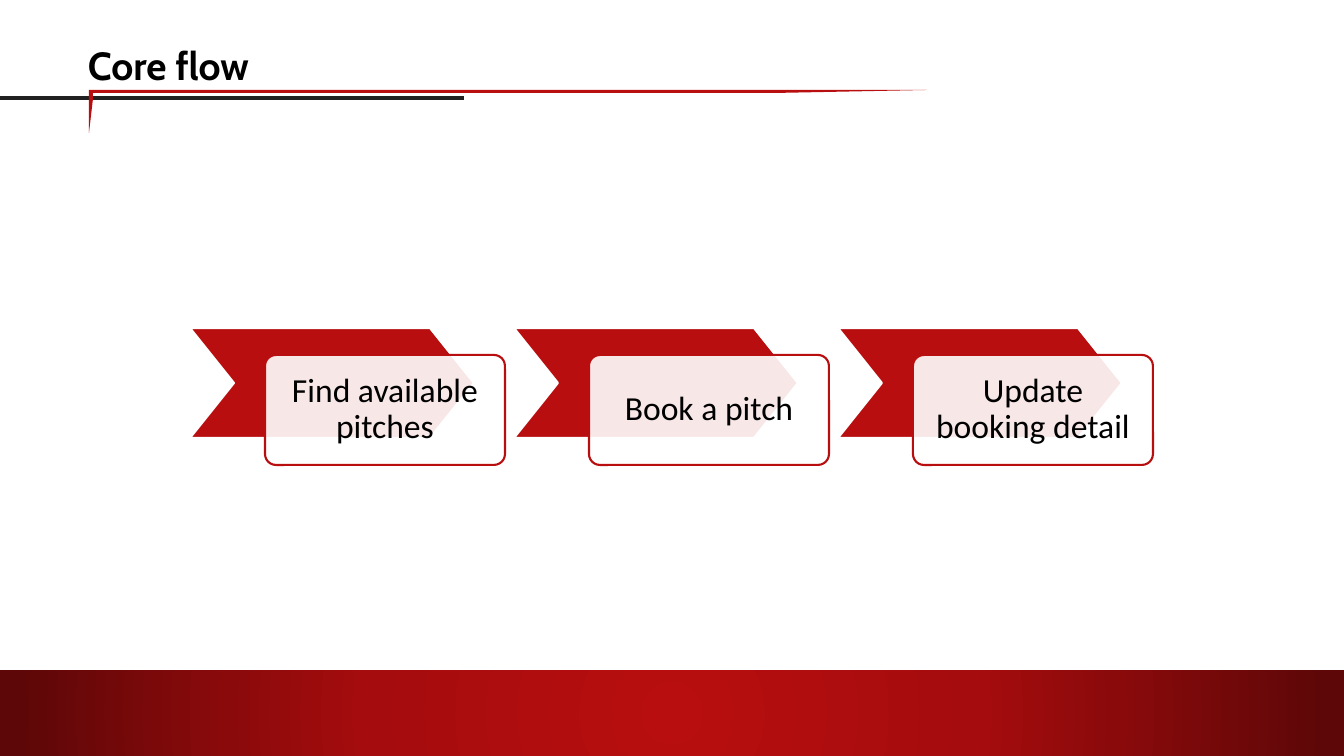
from lxml import etree
from pptx import Presentation
from pptx.dml.color import RGBColor as Rgb
from pptx.enum.shapes import MSO_CONNECTOR as Conn, MSO_SHAPE as Form
from pptx.enum.text import MSO_ANCHOR as Anchor, PP_ALIGN as Align
from pptx.oxml import parse_xml
from pptx.oxml.ns import nsdecls, qn
from pptx.util import Pt

SCALE = 914400 / 100.8
COLORS = {
    "red": "B80E0F", "wine": "A40C0D", "dark": "8A0A0B", "deep": "5E0708",
    "white": "FFFFFF", "black": "000000", "gray": "212121",
}


def emu(*sizes):
    return [round(size * SCALE) for size in sizes]


def color(name):
    return Rgb.from_string(COLORS[name])


class Painter:
    def __init__(self, slide, font):
        self.shapes = slide.shapes
        self.font = font

    def shape(self, form, box, fill, line=None, adj=None):
        item = self.shapes.add_shape(form, *emu(*box))
        if adj is not None:
            item.adjustments[0] = adj
        return self.paint(item, fill, line)

    def paint(self, item, fill, line=None):
        item.shadow.inherit = False
        item.fill.solid()
        item.fill.fore_color.rgb = color(fill)
        if line:
            item.line.color.rgb = color(line)
            item.line.width = Pt(1.5)
        else:
            item.line.fill.background()
        return item

    def fade(self, item, percent):
        tint = item._element.spPr.find(qn("a:solidFill"))[0]
        etree.SubElement(tint, qn("a:alpha")).set("val", str(percent * 1000))

    def glow(self, item, stops):
        marks = "".join(
            f'<a:gs pos="{at * 1000}"><a:srgbClr val="{COLORS[name]}"/></a:gs>'
            for at, name in stops)
        grad = parse_xml(
            f'<a:gradFill {nsdecls("a")} rotWithShape="1"><a:gsLst>{marks}</a:gsLst>'
            '<a:path path="circle"><a:fillToRect l="50000" t="50000" '
            'r="50000" b="50000"/></a:path></a:gradFill>')
        props = item._element.spPr
        props.replace(props.find(qn("a:solidFill")), grad)

    def rule(self, start, end, name, width):
        item = self.shapes.add_connector(Conn.STRAIGHT, *emu(*start, *end))
        item.line.color.rgb = color(name)
        item.line.width = Pt(width)
        etree.SubElement(item._element.spPr, qn("a:effectLst"))

    def outline(self, points, fill):
        pen = self.shapes.build_freeform(*points[0], scale=SCALE)
        pen.add_line_segments(points[1:], close=True)
        self.paint(pen.convert_to_shape(), fill)

    def text(self, item, words, size, font=None, bold=False, inset=None,
             align=Align.LEFT, anchor=Anchor.TOP, space=1.0):
        frame = item.text_frame
        frame.word_wrap = True
        frame.vertical_anchor = anchor
        if inset is not None:
            frame.margin_left = frame.margin_right = emu(inset)[0]
            frame.margin_top = frame.margin_bottom = emu(inset)[0]
        para = frame.paragraphs[0]
        para.text = words
        para.alignment = align
        para.line_spacing = space
        para.font.name = font or self.font
        para.font.size = Pt(size)
        para.font.bold = bold
        para.font.color.rgb = color("black")

    def label(self, box, words, size, **style):
        self.text(self.shapes.add_textbox(*emu(*box)), words, size, **style)

    def step(self, left, top, words):
        self.shape(Form.CHEVRON, (left, top, 284, 110), "red", "white", 0.4)
        card = self.shape(Form.ROUNDED_RECTANGLE, (left + 75, top + 27, 240, 110),
                          "white", "red", 0.1)
        self.fade(card, 90)
        self.text(card, words, 24, inset=19, align=Align.CENTER,
                  anchor=Anchor.MIDDLE, space=0.9)


deck = Presentation()
deck.slide_width, deck.slide_height = emu(1344, 756)
art = Painter(deck.slides.add_slide(deck.slide_layouts[6]), "Calibri")

band = art.shape(Form.RECTANGLE, (0, 670, 1344, 86), "red")
art.glow(band, [(0, "red"), (46, "wine"), (66, "dark"), (97, "deep")])

steps = ["Find available pitches", "Book a pitch", "Update booking detail"]
for index, words in enumerate(steps):
    art.step(190 + 324 * index, 328, words)

art.rule((0, 98), (464, 98), "gray", 2.25)
art.outline([(89, 90), (927, 90), (776, 93), (93, 93), (93, 99), (89, 133)], "red")
art.label((78, 36, 519, 57), "Core flow", 28, font="Cabin", bold=True)

deck.save("out.pptx")
